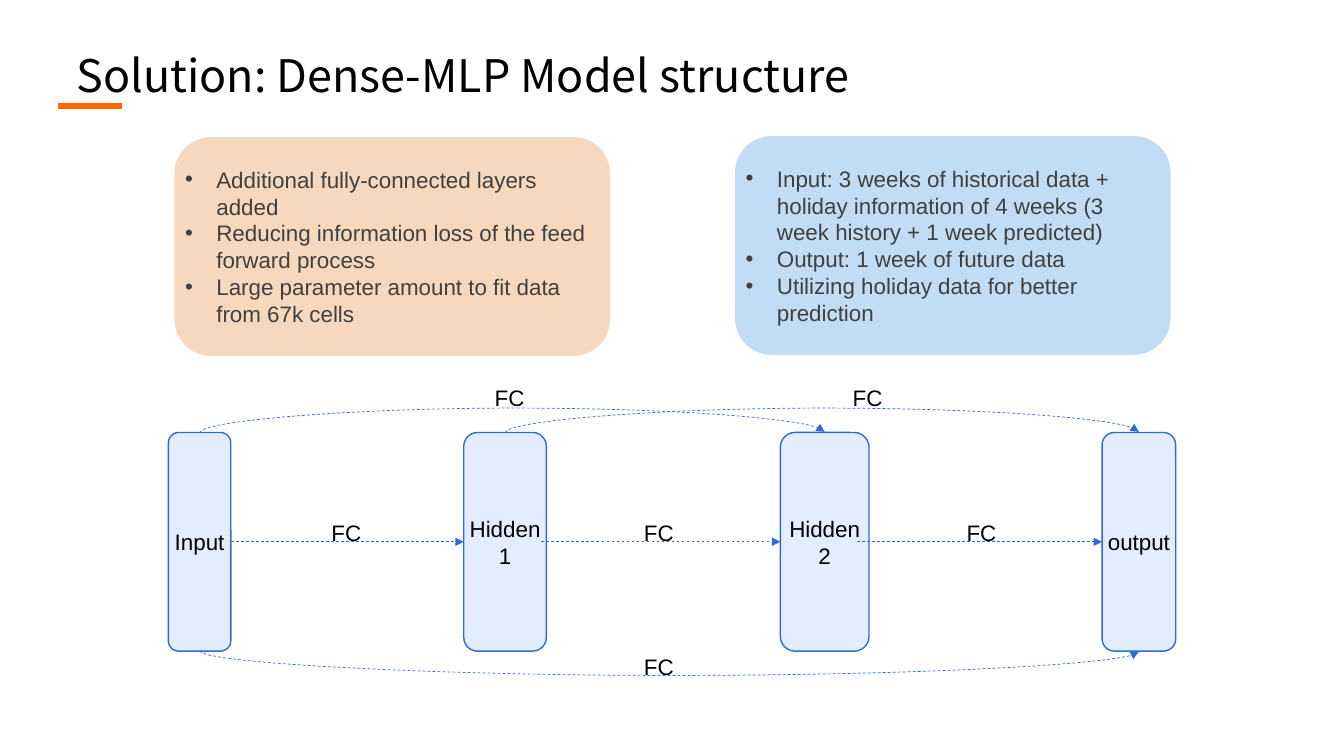
from dataclasses import dataclass

from lxml.etree import SubElement
from pptx import Presentation
from pptx.dml.color import RGBColor
from pptx.enum.dml import MSO_LINE
from pptx.enum.shapes import MSO_CONNECTOR as CONN, MSO_SHAPE as SHAPE
from pptx.enum.text import MSO_ANCHOR as ANCHOR, MSO_AUTO_SIZE as FIT, PP_ALIGN as ALIGN
from pptx.oxml.ns import qn
from pptx.util import Inches, Pt

WIDTH, HEIGHT = Inches(13.33), Inches(7.5)


@dataclass(frozen=True)
class Theme:
    title_font: str = "Noto Sans CJK SC"
    body_font: str = "Arial"
    title_size: int = 32
    body_size: int = 16
    black: str = "000000"
    grey: str = "404040"
    accent: str = "FF6600"
    blue: str = "306BD2"
    layer: str = "E2EDFF"
    peach: str = "F5D8BE"
    sky: str = "C2DCF4"


THEME = Theme()

# Positions are percentages of the slide's width and height.
LAYER_TOP, BOX_HEIGHT = 57.2, 28.93
LAYERS = [("Input", 12.53, 4.65), ("Hidden 1", 34.51, 6.15),
          ("Hidden 2", 58.06, 6.6), ("output", 82, 5.48)]
CARD_WIDTH = 32.41
CARDS = [
    (12.98, 18.13, THEME.peach, [
        "Additional fully-connected layers added",
        "Reducing information loss of the feed forward process",
        "Large parameter amount to fit data from 67k cells"]),
    (54.69, 18, THEME.sky, [
        "Input: 3 weeks of historical data + holiday information of 4 weeks "
        "(3 week history + 1 week predicted)",
        "Output: 1 week of future data",
        "Utilizing holiday data for better prediction"]),
]
# Start and end layer, how far the line starts inside its layer, label centre
STEPS = [(0, 1, 0, 25.77), (1, 2, 0.37, 49.02), (2, 3, 0.89, 73.03)]
# Start and end layer, above the layers or not, label centre and top
SKIPS = [(0, 2, True, 37.92, 50.13), (1, 3, True, 64.55, 50.13),
         (0, 3, False, 49.02, 85.73)]
STEP_LABEL_TOP = 68
ARC_DEPTH, ARC_RISE = Inches(0.01), Inches(0.25)


def across(percent):
    return round(WIDTH * percent / 100)


def down(percent):
    return round(HEIGHT * percent / 100)


def area(left, top, width, height):
    return across(left), down(top), across(width), down(height)


def rgb(value):
    return RGBColor.from_string(value)


def style_text(p, color=THEME.black, size=THEME.body_size, font=THEME.body_font):
    for r in p.runs:
        r.font.size, r.font.name = Pt(size), font
        r.font.color.rgb = rgb(color)


def add_title(slide, text):
    s = slide.shapes.title
    s.left, s.top, s.width, s.height = area(4.95, 6, 84.4, 8.53)
    tf = s.text_frame
    tf.text = text
    tf.auto_size, tf.vertical_anchor = FIT.NONE, ANCHOR.MIDDLE
    p = tf.paragraphs[0]
    p.alignment, p.line_spacing = ALIGN.LEFT, 0.9
    style_text(p, size=THEME.title_size, font=THEME.title_font)


def add_box(slide, box, fill):
    s = slide.shapes.add_shape(SHAPE.ROUNDED_RECTANGLE, *box)
    s.shadow.inherit = False
    s.fill.solid()
    s.fill.fore_color.rgb = rgb(fill)
    s.line.fill.background()
    tf = s.text_frame
    tf.word_wrap, tf.vertical_anchor = True, ANCHOR.MIDDLE
    tf.margin_left = tf.margin_right = 0
    return s


def add_layer(slide, name, left, width):
    s = add_box(slide, area(left, LAYER_TOP, width, BOX_HEIGHT), THEME.layer)
    s.line.color.rgb, s.line.width = rgb(THEME.blue), Pt(1)
    s.text_frame.text = name
    p = s.text_frame.paragraphs[0]
    p.alignment = ALIGN.CENTER
    style_text(p)
    return s


def add_card(slide, left, top, fill, points):
    s = add_box(slide, area(left, top, CARD_WIDTH, BOX_HEIGHT), fill)
    tf = s.text_frame
    tf.text = "\n".join(points)
    for p in tf.paragraphs:
        p.alignment = ALIGN.LEFT
        pr = p._p.get_or_add_pPr()
        pr.set("marL", str(Inches(0.31)))
        pr.set("indent", str(-Inches(0.31)))
        SubElement(pr, qn("a:buFont"), typeface=THEME.body_font)
        SubElement(pr, qn("a:buChar"), char="•")
        style_text(p, THEME.grey)


def add_label(slide, center, top, text="FC"):
    width = 4.28
    s = slide.shapes.add_textbox(*area(center - width / 2, top, width, 4.93))
    tf = s.text_frame
    tf.word_wrap = True
    tf.text = text
    tf.paragraphs[0].alignment = ALIGN.CENTER
    style_text(tf.paragraphs[0])


def add_line(slide, kind, ends, color, width):
    s = slide.shapes.add_connector(kind, *ends)
    s.line.color.rgb, s.line.width = rgb(color), Pt(width)
    SubElement(s._element.spPr, qn("a:effectLst"))
    return s


def add_arrow(slide, kind, ends):
    s = add_line(slide, kind, ends, THEME.blue, 0.5)
    s.line.dash_style = MSO_LINE.DASH
    SubElement(s.line._get_or_add_ln(), qn("a:tailEnd"), type="triangle")
    return s


def add_step(slide, start, end, inset):
    y = start.top + start.height // 2
    s = add_arrow(slide, CONN.STRAIGHT,
                  (start.left + start.width - across(inset), y, end.left, y))
    if not inset:
        s.begin_connect(start, 3)
    s.end_connect(end, 1)


def add_skip(slide, start, end, above):
    """Draw an arc as a curved connector turned by a quarter."""
    x1, x2 = (s.left + s.width // 2 for s in (start, end))
    edge = start.top if above else start.top + start.height
    middle = (x1 + x2) // 2
    reach = (x2 - x1) // 2 if above else (x1 - x2) // 2
    half = ARC_DEPTH // 2
    s = add_arrow(slide, CONN.CURVE,
                  (middle + half, edge + reach, middle - half, edge - reach))
    pr = s._element.spPr
    pr.find(qn("a:xfrm")).set("rot", str((90 if above else 270) * 60000))
    guides = pr.find(qn("a:prstGeom")).get_or_add_avLst()
    bend = round(ARC_RISE / ARC_DEPTH * 100000)
    SubElement(guides, qn("a:gd"), name="adj1", fmla=f"val {bend}")


def main():
    prs = Presentation()
    prs.slide_width, prs.slide_height = WIDTH, HEIGHT
    slide = prs.slides.add_slide(prs.slide_layouts[5])
    add_line(slide, CONN.STRAIGHT, area(4.35, 14, 9.08, 14), THEME.accent, 4)
    add_title(slide, "Solution: Dense-MLP Model structure")
    layers = [add_layer(slide, *layer) for layer in LAYERS]
    for start, end, inset, center in STEPS:
        add_step(slide, layers[start], layers[end], inset)
        add_label(slide, center, STEP_LABEL_TOP)
    for start, end, above, center, top in SKIPS:
        add_skip(slide, layers[start], layers[end], above)
        add_label(slide, center, top)
    for card in CARDS:
        add_card(slide, *card)
    prs.save("out.pptx")


if __name__ == "__main__":
    main()
